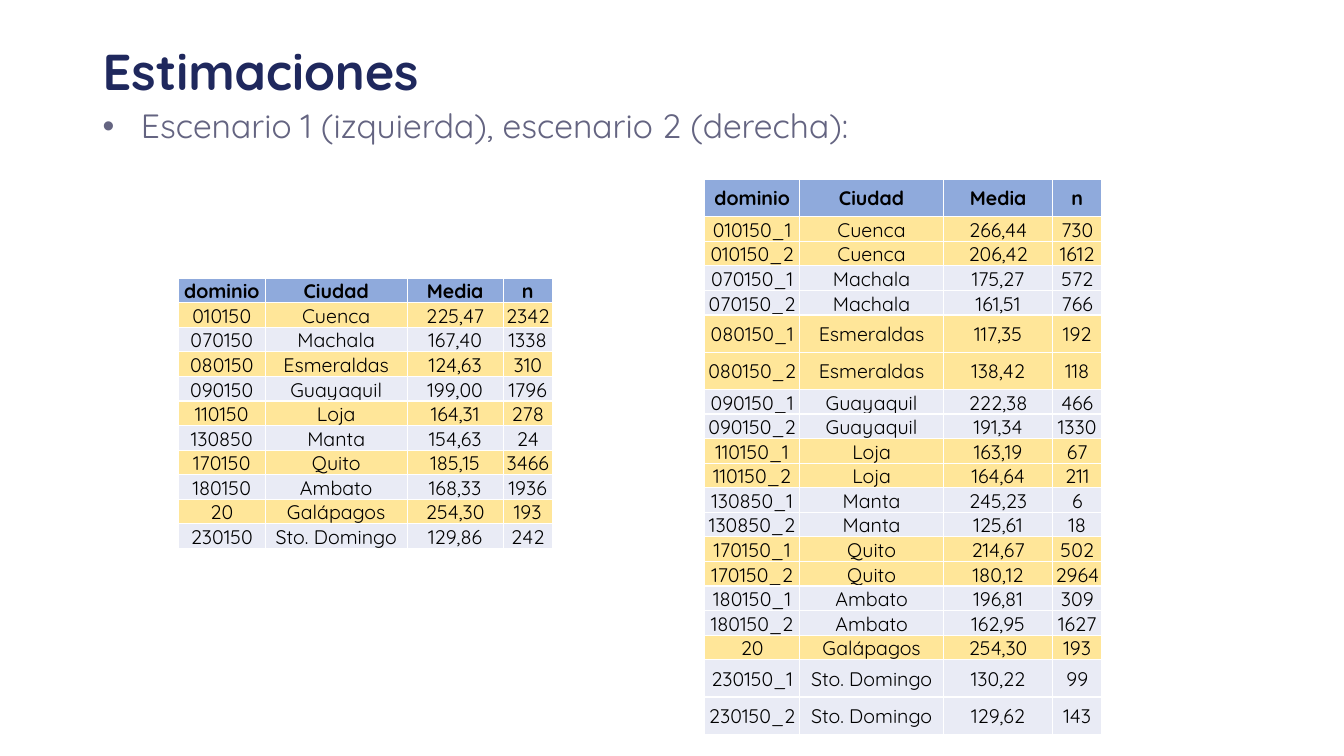
from lxml.etree import SubElement
from pptx import Presentation
from pptx.dml.color import RGBColor
from pptx.enum.text import MSO_ANCHOR, PP_ALIGN
from pptx.oxml.ns import qn
from pptx.util import Inches, Pt

FONT = "Quicksand"
NAVY = RGBColor(0x1F, 0x28, 0x5D)
SLATE = RGBColor(0x64, 0x64, 0x81)
BLACK = RGBColor(0x00, 0x00, 0x00)
WHITE = RGBColor(0xFF, 0xFF, 0xFF)
HEADER_BLUE = RGBColor(0x8F, 0xAA, 0xDC)
YELLOW = RGBColor(0xFF, 0xE6, 0x99)
PALE_BLUE = RGBColor(0xE9, 0xEB, 0xF5)

HEADER = ("dominio", "Ciudad", "Media", "n")
SCENARIO_1 = [
    ("010150", "Cuenca", "225,47", "2342"),
    ("070150", "Machala", "167,40", "1338"),
    ("080150", "Esmeraldas", "124,63", "310"),
    ("090150", "Guayaquil", "199,00", "1796"),
    ("110150", "Loja", "164,31", "278"),
    ("130850", "Manta", "154,63", "24"),
    ("170150", "Quito", "185,15", "3466"),
    ("180150", "Ambato", "168,33", "1936"),
    ("20", "Galápagos", "254,30", "193"),
    ("230150", "Sto. Domingo", "129,86", "242"),
]
SCENARIO_2 = [
    ("010150_1", "Cuenca", "266,44", "730"),
    ("010150_2", "Cuenca", "206,42", "1612"),
    ("070150_1", "Machala", "175,27", "572"),
    ("070150_2", "Machala", "161,51", "766"),
    ("080150_1", "Esmeraldas", "117,35", "192"),
    ("080150_2", "Esmeraldas", "138,42", "118"),
    ("090150_1", "Guayaquil", "222,38", "466"),
    ("090150_2", "Guayaquil", "191,34", "1330"),
    ("110150_1", "Loja", "163,19", "67"),
    ("110150_2", "Loja", "164,64", "211"),
    ("130850_1", "Manta", "245,23", "6"),
    ("130850_2", "Manta", "125,61", "18"),
    ("170150_1", "Quito", "214,67", "502"),
    ("170150_2", "Quito", "180,12", "2964"),
    ("180150_1", "Ambato", "196,81", "309"),
    ("180150_2", "Ambato", "162,95", "1627"),
    ("20", "Galápagos", "254,30", "193"),
    ("230150_1", "Sto. Domingo", "130,22", "99"),
    ("230150_2", "Sto. Domingo", "129,62", "143"),
]
ROW_HEIGHT, TALL_ROW_HEIGHT = 0.2, 0.37
# Position, frame height, column widths, tall rows, anchor and data
TABLES = [
    (1.77, 2.76, 2.66, (0.86, 1.41, 0.95, 0.49), (),
     MSO_ANCHOR.BOTTOM, SCENARIO_1),
    (6.99, 1.78, 5.45, (0.94, 1.43, 1.08, 0.49), (0, 5, 6, 18, 19),
     MSO_ANCHOR.MIDDLE, SCENARIO_2),
]


def add_run(paragraph, text, size, color, bold=False):
    run = paragraph.add_run()
    run.text = text
    run.font.name = FONT
    run.font.size = Pt(size)
    run.font.color.rgb = color
    run.font.bold = bold


def add_borders(cell):
    properties = cell._tc.get_or_add_tcPr()
    for side in ("a:lnL", "a:lnR", "a:lnT", "a:lnB"):
        line = SubElement(properties, qn(side), w=str(Pt(1)))
        fill = SubElement(line, qn("a:solidFill"))
        SubElement(fill, qn("a:srgbClr"), val=str(WHITE))


prs = Presentation()
prs.slide_width = Inches(13.33)
prs.slide_height = Inches(7.5)
slide = prs.slides.add_slide(prs.slide_layouts[6])

# Heading
title = slide.shapes.add_textbox(
    Inches(0.92), Inches(0.37), Inches(8.46), Inches(0.74)).text_frame
title.word_wrap = True
title.vertical_anchor = MSO_ANCHOR.MIDDLE
title.paragraphs[0].line_spacing = 0.9
add_run(title.paragraphs[0], "Estimaciones", 36, NAVY, bold=True)

# Bulleted subtitle
subtitle = slide.shapes.add_textbox(
    Inches(0.92), Inches(1.04), Inches(10.7), Inches(0.93)).text_frame
subtitle.word_wrap = True
bullet_line = subtitle.paragraphs[0]
bullet_line.alignment = PP_ALIGN.JUSTIFY
bullet_line.line_spacing = 0.9
bullet_line.space_before = Pt(10)
bullet_format = bullet_line._p.get_or_add_pPr()
bullet_format.set("marL", str(Inches(0.38)))
bullet_format.set("indent", str(Inches(-0.38)))
SubElement(bullet_format, qn("a:buFont"), typeface="Arial")
SubElement(bullet_format, qn("a:buChar"), char="•")
add_run(bullet_line, "Escenario 1 (izquierda), escenario 2 (derecha):", 24, SLATE)

# One table per scenario; the row colour changes with the city
for left, top, height, widths, tall_rows, anchor, estimates in TABLES:
    rows = [HEADER] + estimates
    cities = list(dict.fromkeys(city for _, city, _, _ in estimates))
    frame = slide.shapes.add_table(
        len(rows), len(HEADER), Inches(left), Inches(top),
        Inches(sum(widths)), Inches(height))
    table = frame.table
    table.horz_banding = False
    for column, width in zip(table.columns, widths):
        column.width = Inches(width)
    for r, values in enumerate(rows):
        is_header = r == 0
        table.rows[r].height = Inches(
            TALL_ROW_HEIGHT if r in tall_rows else ROW_HEIGHT)
        if is_header:
            row_color = HEADER_BLUE
        else:
            row_color = (YELLOW, PALE_BLUE)[cities.index(values[1]) % 2]
        for c, value in enumerate(values):
            cell = table.cell(r, c)
            cell.margin_left = cell.margin_right = cell.margin_top = Inches(0.01)
            cell.margin_bottom = 0
            cell.vertical_anchor = anchor
            add_borders(cell)
            cell.fill.solid()
            cell.fill.fore_color.rgb = row_color
            paragraph = cell.text_frame.paragraphs[0]
            paragraph.alignment = PP_ALIGN.CENTER
            add_run(paragraph, value, 14, BLACK, bold=is_header)
    frame.height = Inches(height)

prs.save("out.pptx")
